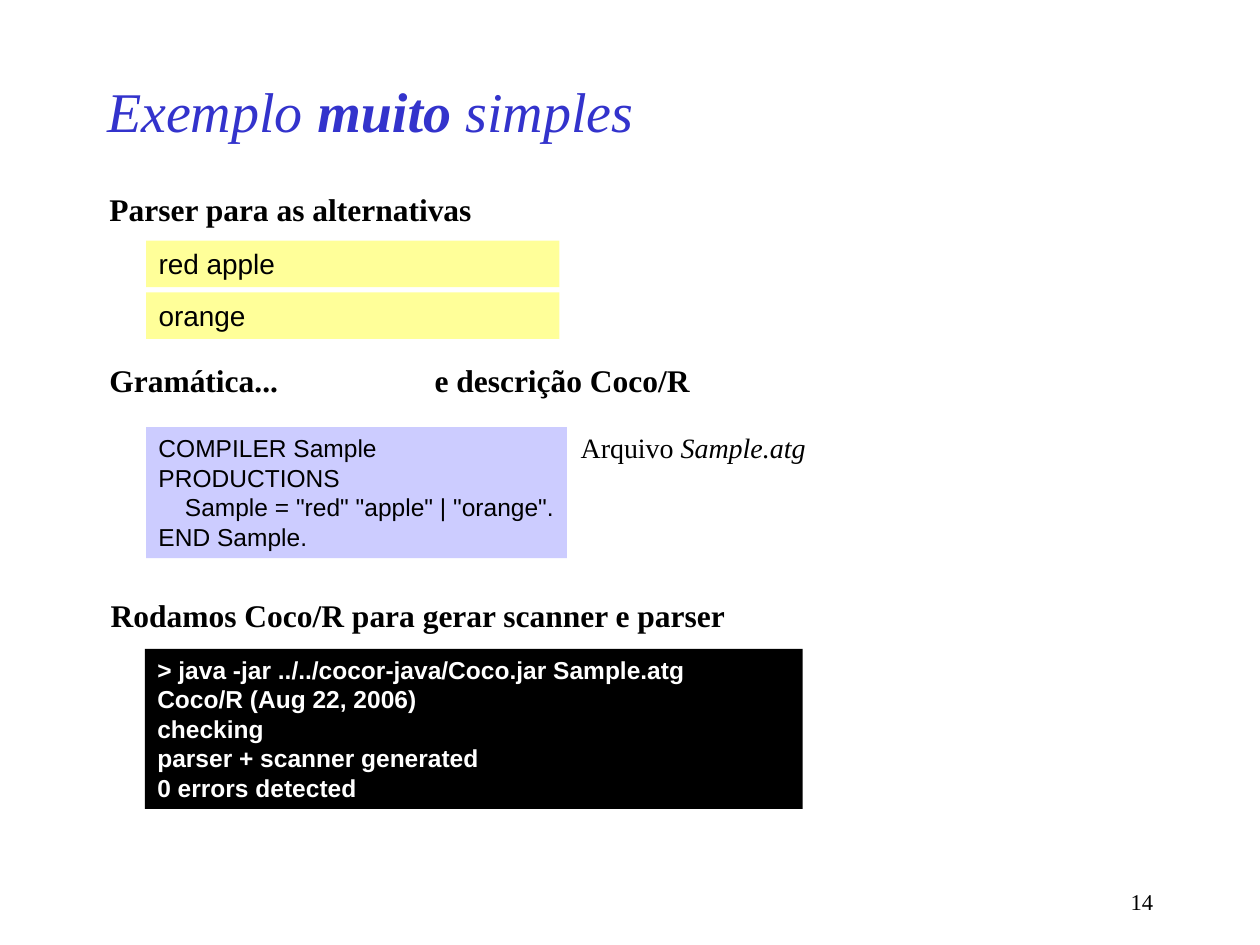
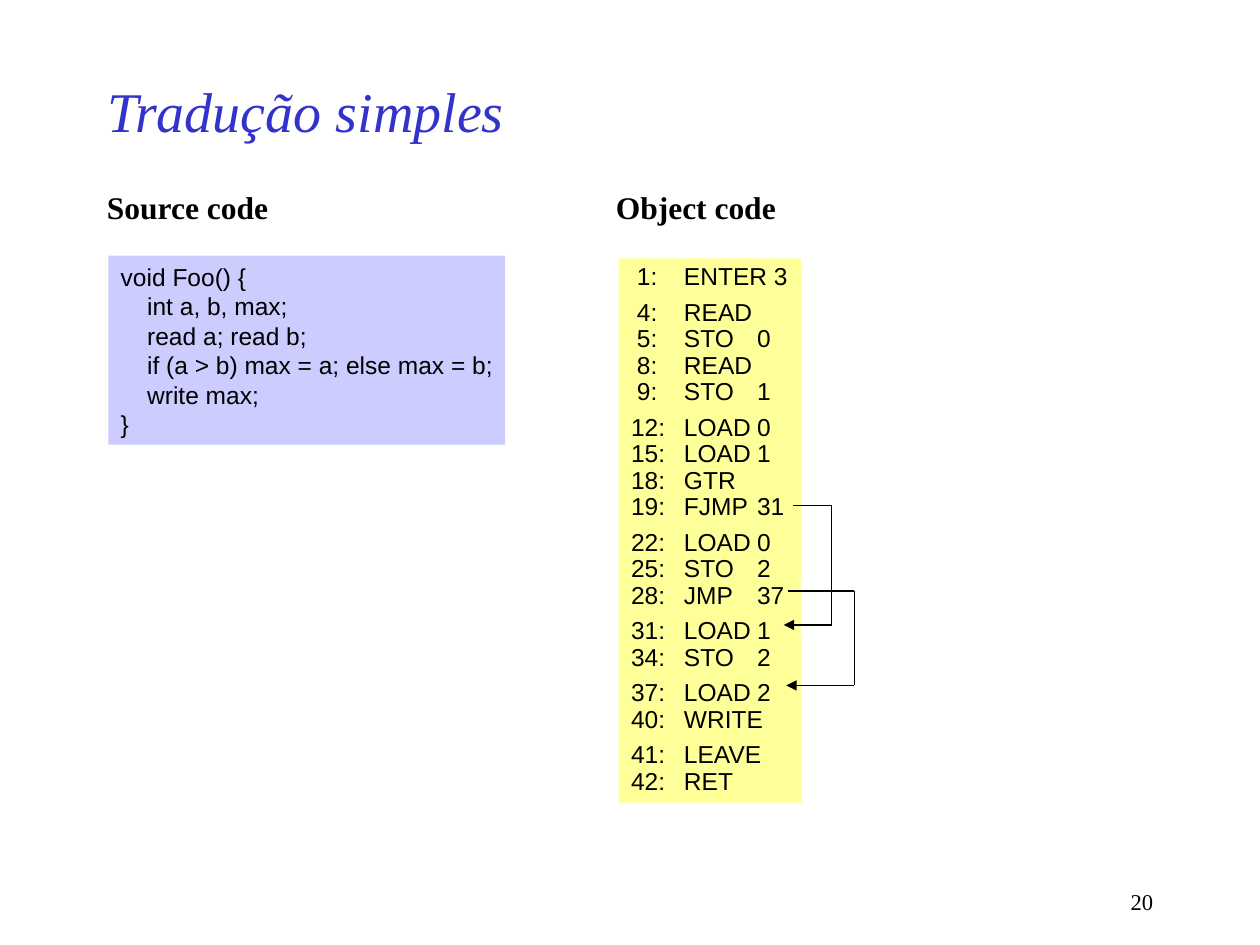
from lxml.etree import SubElement
from pptx import Presentation
from pptx.dml.color import RGBColor
from pptx.enum.shapes import MSO_CONNECTOR, MSO_SHAPE
from pptx.enum.text import MSO_ANCHOR, MSO_AUTO_SIZE, PP_ALIGN
from pptx.oxml.ns import qn
from pptx.util import Inches, Pt

COLORS = {
    "title": "3333CC",
    "text": "000000",
    "input": "FFFF99",
    "code": "CCCCFF",
    "console": "000000",
    "console_text": "FFFFFF",
}
SERIF, SANS = "Times New Roman", "Arial"
COLS, ROWS = 100, 75
CELL = Inches(10) // COLS
CODE_TABS = [(0.21, "l")]
LISTING_TABS = [(0.21, "r"), (0.42, "l"), (1, "l")]

CONSOLE = [
    "> java -jar ../../cocor-java/Coco.jar Sample.atg",
    "Coco/R (Aug 22, 2006)",
    "checking",
    "parser + scanner generated",
    "0 errors detected",
]
GRAMMAR = [
    "COMPILER Sample",
    "PRODUCTIONS",
    '\tSample = "red" "apple" | "orange".',
    "END Sample.",
]
SOURCE = [
    "void Foo() {",
    "\tint a, b, max;",
    "\tread a; read b;",
    "\tif (a > b) max = a; else max = b;",
    "\twrite max;",
    "}",
]
OBJECT_BLOCKS = [
    [(1, "ENTER 3")],
    [(4, "READ"), (5, "STO\t0"), (8, "READ"), (9, "STO\t1")],
    [(12, "LOAD\t0"), (15, "LOAD\t1"), (18, "GTR"), (19, "FJMP\t31")],
    [(22, "LOAD\t0"), (25, "STO\t2"), (28, "JMP\t37")],
    [(31, "LOAD\t1"), (34, "STO\t2")],
    [(37, "LOAD\t2"), (40, "WRITE")],
    [(41, "LEAVE"), (42, "RET")],
]


def grid(*cells):
    return [round(n * CELL) for n in cells]


def rgb(name):
    return RGBColor.from_string(COLORS[name])


def style(p, size, font=SERIF, color="text", bold=False, italic=False):
    f = p.font
    f.size, f.name, f.bold, f.italic = Pt(size), font, bold, italic
    f.color.rgb = rgb(color)


def set_tabs(p, tabs):
    tab_list = SubElement(p._p.get_or_add_pPr(), qn("a:tabLst"))
    for inches, align in tabs:
        SubElement(tab_list, qn("a:tab"), pos=str(Inches(inches)), algn=align)


def add_title(s, *runs):
    sp = s.shapes.title
    sp.left, sp.top, sp.width, sp.height = grid(7.5, 5, 75, 7.5)
    tf = sp.text_frame
    tf.auto_size, tf.vertical_anchor = MSO_AUTO_SIZE.NONE, MSO_ANCHOR.MIDDLE
    p = tf.paragraphs[0]
    p.alignment = PP_ALIGN.LEFT
    style(p, 32, color="title", italic=True)
    for text, bold in runs:
        r = p.add_run()
        r.text = text
        if bold:
            r.font.bold = True


def add_label(s, text, col, row, width, height=4, size=18, bold=True, margin=0):
    sp = s.shapes.add_textbox(*grid(col, row, width, height))
    tf = sp.text_frame
    tf.word_wrap = True
    tf.margin_right = round(margin * CELL)
    p = tf.paragraphs[0]
    p.text = text
    style(p, size, bold=bold)
    return p


def add_page_number(s, number):
    p = add_label(s, str(number), 71.7, 70, 20.8, 3.3, 12.9, False, margin=1)
    p.alignment = PP_ALIGN.RIGHT


def add_panel(s, lines, box, fill, size=14, color="text", bold=False, tabs=()):
    sp = s.shapes.add_shape(MSO_SHAPE.RECTANGLE, *grid(*box))
    sp.shadow.inherit = False
    sp.fill.solid()
    sp.fill.fore_color.rgb = rgb(fill)
    sp.line.fill.background()
    tf = sp.text_frame
    tf.word_wrap, tf.vertical_anchor = True, MSO_ANCHOR.TOP
    tf.margin_right = 0
    for i, line in enumerate(lines):
        p = tf.add_paragraph() if i else tf.paragraphs[0]
        p.add_run().text = line
        p.alignment = PP_ALIGN.LEFT
        if tabs:
            set_tabs(p, tabs)
        style(p, size, SANS, color, bold)
    return tf


def add_object_code(s, box):
    lines = [f"\t{address}:\t{op}" for block in OBJECT_BLOCKS for address, op in block]
    tf = add_panel(s, lines, box, "input", tabs=LISTING_TABS)
    for p in tf.paragraphs:
        p.line_spacing = 0.9
    start = 0
    for block in OBJECT_BLOCKS[:-1]:
        start += len(block)
        tf.paragraphs[start].space_before = Pt(5.2)


def add_line(s, start, end, arrow):
    c = s.shapes.add_connector(MSO_CONNECTOR.STRAIGHT, *grid(*start, *end))
    c.line.color.rgb = rgb("text")
    c.line.width = Pt(0.75)
    props = c._element.spPr
    if arrow:
        SubElement(props.find(qn("a:ln")), qn("a:tailEnd"), type="triangle")
    SubElement(props, qn("a:effectLst"))


def add_jump(s, start, target, turn_col):
    points = [start, (turn_col, start[1]), (turn_col, target[1]), target]
    for a, b in zip(points, points[1:]):
        add_line(s, a, b, b is target)


def new_slide(prs, number, *title):
    s = prs.slides.add_slide(prs.slide_layouts[5])
    add_page_number(s, number)
    add_title(s, *title)
    return s


def build_example(prs):
    s = new_slide(prs, 14, ("Exemplo ", False), ("muito", True), (" simples", False))
    add_label(s, "Parser para as alternativas", 7.7, 14.6, 30.8)
    for i, phrase in enumerate(["red apple", "orange"]):
        add_panel(s, [phrase], (11.6, 19.1 + 4.1 * i, 32.8, 3.7), "input", 16)
    add_label(s, "Gramática...", 7.7, 28.2, 15.4)
    add_label(s, "e descrição Coco/R", 33.5, 28.2, 22.2)
    add_panel(s, GRAMMAR, (11.6, 33.9, 33.4, 10.4), "code", tabs=CODE_TABS)
    p = add_label(s, "Arquivo ", 45.1, 33.7, 19.8, 3.7, 16, False)
    r = p.add_run()
    r.text = "Sample.atg"
    r.font.italic = True
    add_label(s, "Rodamos Coco/R para gerar scanner e parser", 7.8, 46.8, 50.9)
    add_panel(s, CONSOLE, (11.5, 51.5, 52.2, 12.7), "console", color="console_text", bold=True)


def build_translation(prs):
    s = new_slide(prs, 20, ("Tradução simples", False))
    add_label(s, "Source code", 7.5, 14.4, 14.8)
    add_panel(s, SOURCE, (8.6, 20.3, 31.5, 15), "code", tabs=CODE_TABS)
    add_label(s, "Object code", 47.9, 14.4, 14.7)
    add_object_code(s, (49.1, 20.5, 14.5, 43.2))
    add_jump(s, (62.9, 40.1), (62.2, 49.6), 66)
    add_jump(s, (62.5, 46.9), (62.4, 54.4), 67.8)


def main():
    prs = Presentation()
    prs.slide_width, prs.slide_height = grid(COLS, ROWS)
    build_example(prs)
    build_translation(prs)
    prs.save("out.pptx")


if __name__ == "__main__":
    main()
